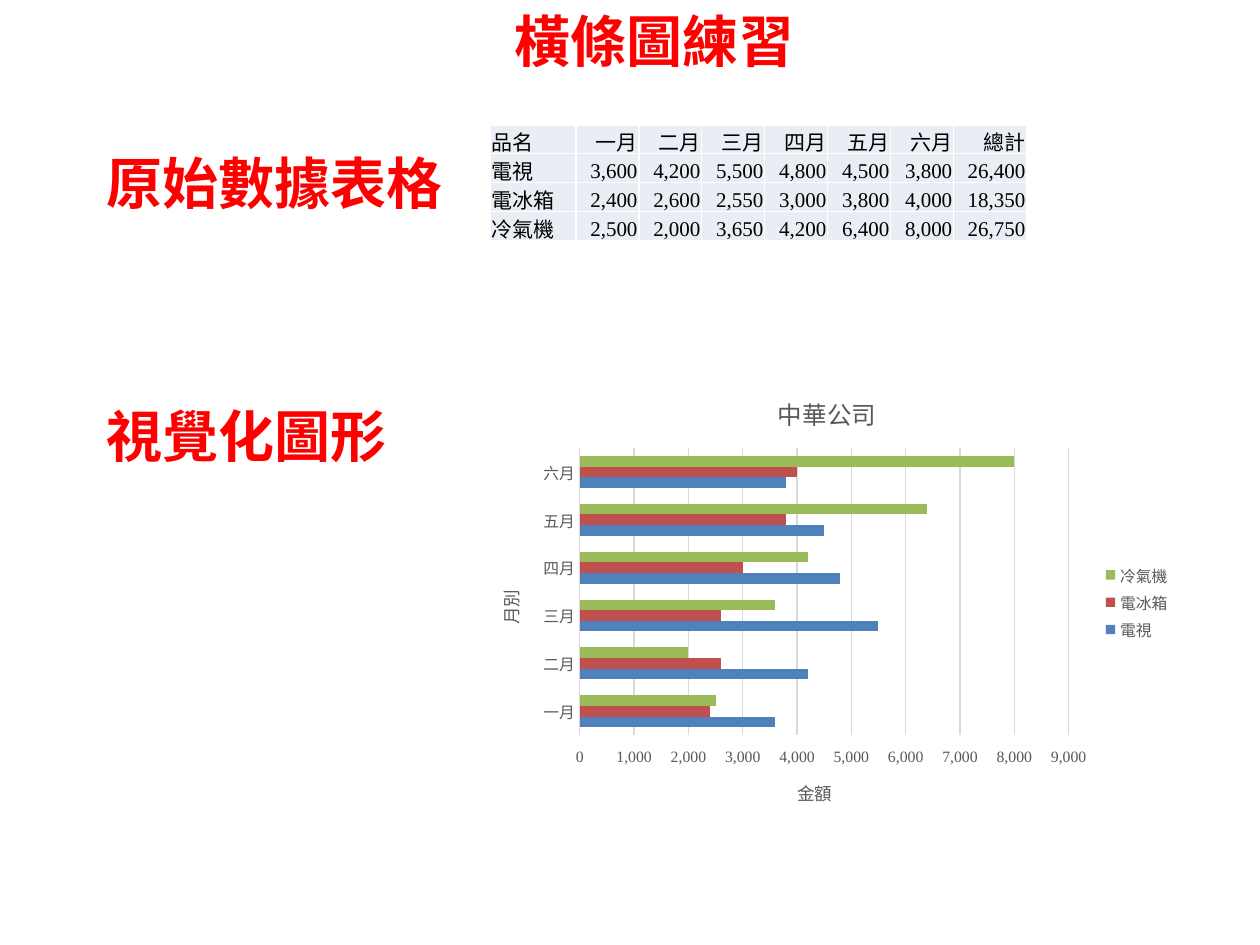
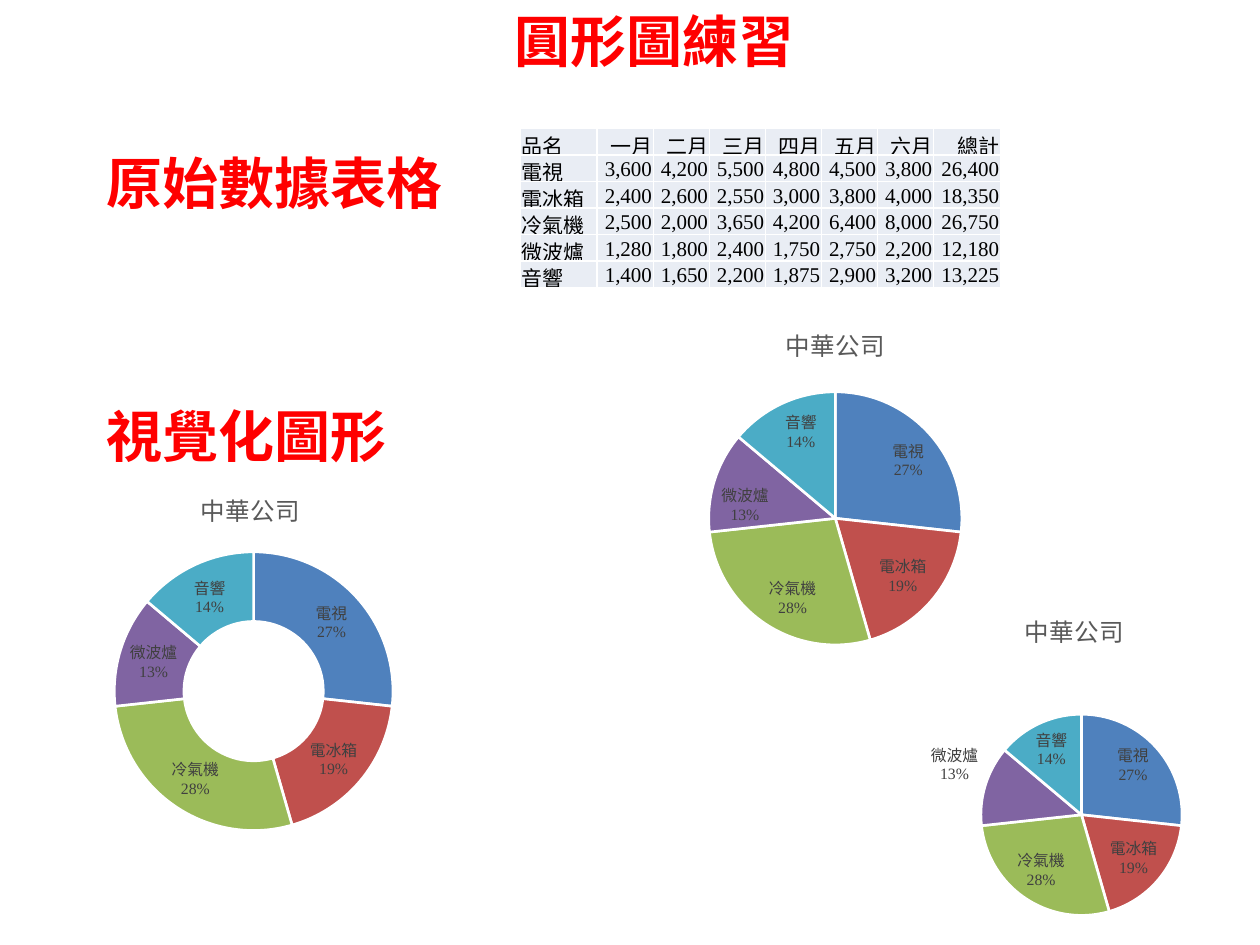
from dataclasses import dataclass

from lxml.etree import SubElement
from pptx import Presentation
from pptx.chart.data import CategoryChartData
from pptx.dml.color import RGBColor
from pptx.enum.chart import XL_CHART_TYPE as ChartType
from pptx.enum.chart import XL_LABEL_POSITION as LabelPosition
from pptx.enum.chart import XL_LEGEND_POSITION as LegendPosition
from pptx.enum.chart import XL_TICK_MARK as TickMark
from pptx.enum.text import MSO_ANCHOR as Anchor
from pptx.enum.text import MSO_AUTO_SIZE as AutoSize
from pptx.enum.text import PP_ALIGN as Align
from pptx.oxml import parse_xml
from pptx.oxml.ns import nsdecls, qn
from pptx.util import Inches, Pt


@dataclass(frozen=True)
class Theme:
    """Colours, fonts and type sizes of the deck."""
    heading_font: str = "Arial"
    body_font: str = "Times New Roman"
    heading: str = "FF0000"
    text: str = "000000"
    axis: str = "595959"
    label: str = "404040"
    grid: str = "D9D9D9"
    cell: str = "E9EDF4"
    white: str = "FFFFFF"
    series: tuple = ("4F81BD", "C0504D", "9BBB59", "8064A2", "4BACC6")
    heading_size: int = 32
    table_size: int = 12
    chart_title_size: int = 14
    axis_title_size: int = 10
    chart_size: int = 9


THEME = Theme()
COMPANY = "中華公司"
NUMBER_FORMAT = "#,##0"
MONTHS = ["一月", "二月", "三月", "四月", "五月", "六月"]
SALES = {
    "電視": [3600, 4200, 5500, 4800, 4500, 3800],
    "電冰箱": [2400, 2600, 2550, 3000, 3800, 4000],
    "冷氣機": [2500, 2000, 3650, 4200, 6400, 8000],
    "微波爐": [1280, 1800, 2400, 1750, 2750, 2200],
    "音響": [1400, 1650, 2200, 1875, 2900, 3200],
}
APPLIANCES = {name: SALES[name] for name in ("電視", "電冰箱", "冷氣機")}


def style_font(font, size, color, name=THEME.body_font, bold=False):
    """Set size, colour, typeface and weight of a font."""
    font.size = Pt(size)
    font.color.rgb = RGBColor.from_string(color)
    font.name = name
    font.bold = bold


def write_heading(shape, text, left, top, width):
    """Place a shape and fill it with one red heading."""
    shape.left, shape.top = Inches(left), Inches(top)
    shape.width, shape.height = Inches(width), Inches(0.64)
    text_frame = shape.text_frame
    text_frame.text = text
    text_frame.word_wrap = False
    text_frame.auto_size = AutoSize.SHAPE_TO_FIT_TEXT
    text_frame.vertical_anchor = Anchor.TOP
    paragraph = text_frame.paragraphs[0]
    paragraph.alignment = Align.LEFT
    style_font(paragraph.runs[0].font, THEME.heading_size, THEME.heading,
               THEME.heading_font, bold=True)


def add_exercise_slide(presentation, title):
    """Add a slide with its title and the two section headings."""
    slide = presentation.slides.add_slide(presentation.slide_layouts[5])
    write_heading(slide.shapes.title, title, 3.98, 0, 2.48)
    for text, top in (("原始數據表格", 1.13), ("視覺化圖形", 3.14)):
        box = slide.shapes.add_textbox(0, 0, 0, 0)
        write_heading(box, text, 0.75, top, 2.99)
    return slide


def style_cell(cell, text, alignment):
    """Write a cell with white borders and a pale fill."""
    cell.text = text
    cell.vertical_anchor = Anchor.BOTTOM
    cell.margin_left = cell.margin_right = cell.margin_top = Inches(0.01)
    cell.margin_bottom = 0
    paragraph = cell.text_frame.paragraphs[0]
    paragraph.alignment = alignment
    style_font(paragraph.runs[0].font, THEME.table_size, THEME.text)
    properties = cell._tc.get_or_add_tcPr()
    for side in ("lnL", "lnR", "lnT", "lnB"):
        properties.append(parse_xml(
            f'<a:{side} {nsdecls("a")} w="12700"><a:solidFill>'
            f'<a:srgbClr val="{THEME.white}"/></a:solidFill></a:{side}>'))
    cell.fill.solid()
    cell.fill.fore_color.rgb = RGBColor.from_string(THEME.cell)


def add_sales_table(slide, sales, box, name_width, total_width):
    """Add monthly sales with totals; months share the remaining width."""
    rows = [["品名", *MONTHS, "總計"]]
    for name, values in sales.items():
        rows.append([name, *(f"{value:,}" for value in [*values, sum(values)])])
    width, height = box[2:]
    month_width = (width - name_width - total_width) / len(MONTHS)
    columns = [name_width] + [month_width] * len(MONTHS) + [total_width]
    table = slide.shapes.add_table(
        len(rows), len(columns), *map(Inches, box)).table
    table.first_row = table.horz_banding = False
    for column, column_width in zip(table.columns, columns):
        column.width = Inches(column_width)
    for row_index, row in enumerate(rows):
        table.rows[row_index].height = Inches(height / len(rows))
        for column_index, text in enumerate(row):
            alignment = Align.RIGHT if column_index else Align.LEFT
            style_cell(table.cell(row_index, column_index), text, alignment)


def add_chart(slide, chart_type, categories, series, box):
    """Add a chart with the company name as its title."""
    data = CategoryChartData(number_format=NUMBER_FORMAT)
    data.categories = categories
    for name, values in series.items():
        data.add_series(name, values)
    frame = slide.shapes.add_chart(chart_type, *map(Inches, box), data)
    chart = frame.chart
    style_font(chart.font, 10, THEME.text)
    chart.has_title = True
    write_chart_title(chart.chart_title, COMPANY, THEME.chart_title_size)
    chart.chart_title.include_in_layout = False
    return chart


def write_chart_title(title, text, size):
    """Write a chart or axis title in grey."""
    title.text_frame.text = text
    run = title.text_frame.paragraphs[0].runs[0]
    style_font(run.font, size, THEME.axis)


def style_axis(axis, title, tick_mark):
    """Title an axis and hide its line."""
    axis.has_title = True
    write_chart_title(axis.axis_title, title, THEME.axis_title_size)
    axis.major_tick_mark = tick_mark
    axis.minor_tick_mark = TickMark.NONE
    axis.format.line.fill.background()
    style_font(axis.tick_labels.font, THEME.chart_size, THEME.axis)


def add_bar_chart(slide, sales, box):
    """Add clustered bars of sales by month, to the nearest hundred."""
    rounded = {name: [round(value, -2) for value in values]
               for name, values in sales.items()}
    chart = add_chart(slide, ChartType.BAR_CLUSTERED, MONTHS, rounded, box)
    plot = chart.plots[0]
    plot.vary_by_categories = False
    plot.gap_width = 150
    for series, color in zip(plot.series, THEME.series):
        series.format.fill.solid()
        series.format.fill.fore_color.rgb = RGBColor.from_string(color)
    style_axis(chart.category_axis, "月別", TickMark.NONE)
    chart.category_axis.has_major_gridlines = False
    value_axis = chart.value_axis
    style_axis(value_axis, "金額", TickMark.OUTSIDE)
    value_axis.tick_labels.number_format = NUMBER_FORMAT
    value_axis.tick_labels.number_format_is_linked = False
    value_axis.has_major_gridlines = True
    grid_line = value_axis.major_gridlines.format.line
    grid_line.color.rgb = RGBColor.from_string(THEME.grid)
    grid_line.width = Pt(0.75)
    chart.has_legend = True
    chart.legend.position = LegendPosition.RIGHT
    chart.legend.include_in_layout = False
    style_font(chart.legend.font, THEME.chart_size, THEME.axis)


def set_plot_layout(chart, **fractions):
    """Fix the inner plot area as fractions of the chart."""
    plot_area = chart._chartSpace.chart.plotArea
    for layout in plot_area.findall(qn("c:layout")):
        plot_area.remove(layout)
    values = "".join(f'<c:{name} val="{value}"/>'
                     for name, value in fractions.items())
    plot_area.insert(0, parse_xml(
        f'<c:layout {nsdecls("c")}><c:manualLayout>'
        '<c:layoutTarget val="inner"/><c:xMode val="edge"/>'
        f'<c:yMode val="edge"/>{values}</c:manualLayout></c:layout>'))


def add_share_chart(slide, chart_type, box, label_position=None):
    """Add a pie or doughnut of each product's share of total sales."""
    totals = [sum(values) for values in SALES.values()]
    shares = [round(100 * total / sum(totals)) for total in totals]
    chart = add_chart(slide, chart_type, list(SALES), {"Series 1": shares}, box)
    chart.has_legend = False
    plot = chart.plots[0]
    plot.vary_by_categories = True
    series = plot.series[0]
    for index, color in enumerate(THEME.series):
        point = series.points[index].format
        point.fill.solid()
        point.fill.fore_color.rgb = RGBColor.from_string(color)
        point.line.color.rgb = RGBColor.from_string(THEME.white)
        point.line.width = Pt(1.5)
    labels = series.data_labels
    labels.show_value = False
    labels.show_category_name = labels.show_percentage = True
    style_font(labels.font, THEME.chart_size, THEME.label)
    if label_position is not None:
        labels.position = label_position
    separator = SubElement(labels._element, qn("c:separator"))
    separator.text = "\n"
    labels._element.find(qn("c:showBubbleSize")).addnext(separator)
    return chart


def build_bar_slide(presentation):
    """Build the bar chart exercise."""
    slide = add_exercise_slide(presentation, "橫條圖練習")
    add_sales_table(slide, APPLIANCES, (3.89, 0.99, 4.26, 0.92), 0.68, 0.58)
    add_bar_chart(slide, APPLIANCES, (3.74, 2.96, 5.65, 3.64))


def build_pie_slide(presentation):
    """Build the pie chart exercise."""
    slide = add_exercise_slide(presentation, "圓形圖練習")
    add_sales_table(slide, SALES, (4.13, 1.02, 3.81, 1.25), 0.61, 0.53)
    large_pie = add_share_chart(slide, ChartType.PIE, (4.13, 2.42, 5, 3),
                                LabelPosition.INSIDE_END)
    set_plot_layout(large_pie, x=0.09, y=0.23, w=0.82, h=0.67)
    add_share_chart(slide, ChartType.DOUGHNUT, (-0.51, 3.73, 5, 3))
    add_share_chart(slide, ChartType.PIE, (6.03, 4.69, 5, 3))


def main():
    """Build and save the presentation."""
    presentation = Presentation()
    presentation.slide_width = Inches(10)
    presentation.slide_height = Inches(7.5)
    build_bar_slide(presentation)
    build_pie_slide(presentation)
    presentation.save("out.pptx")


main()
